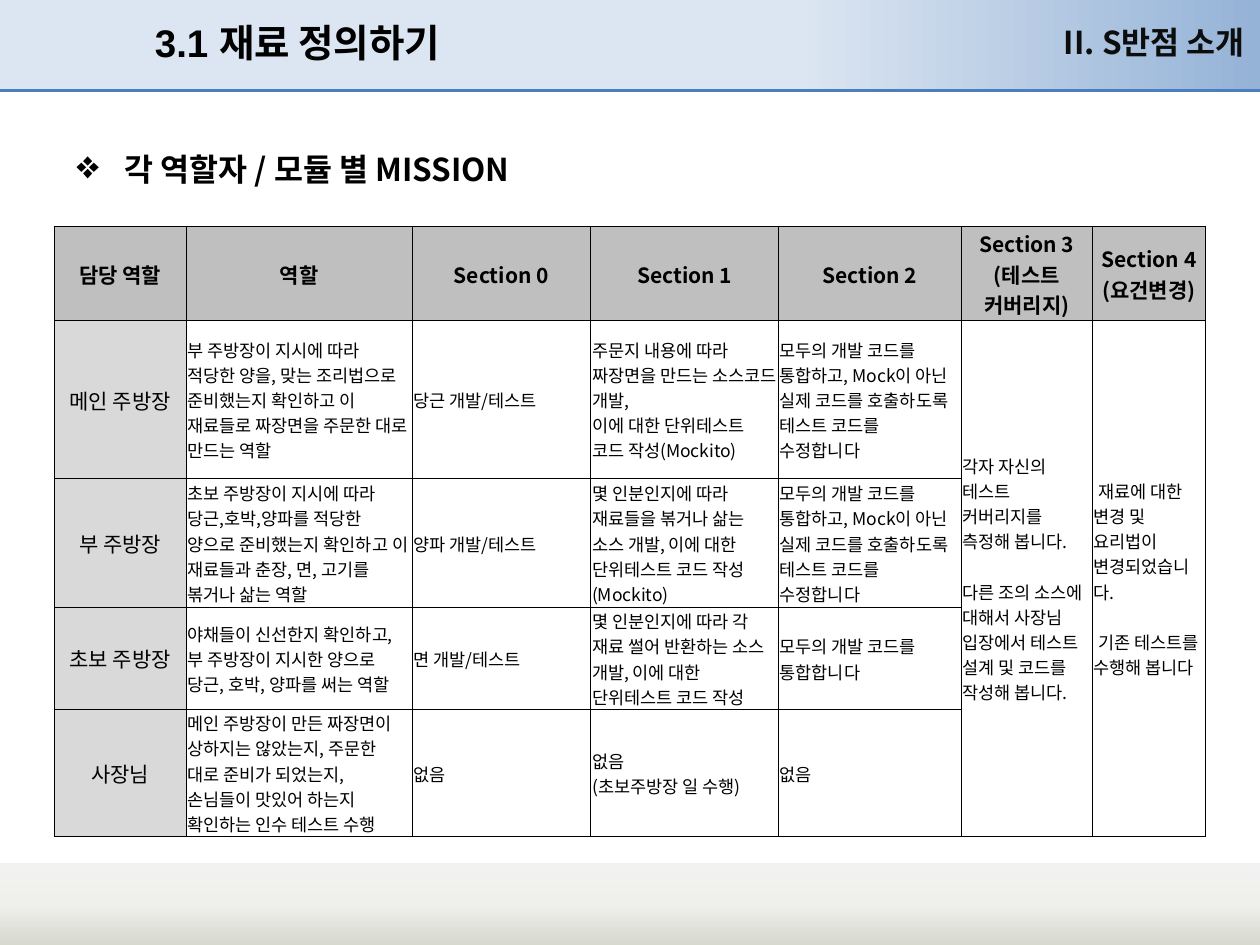
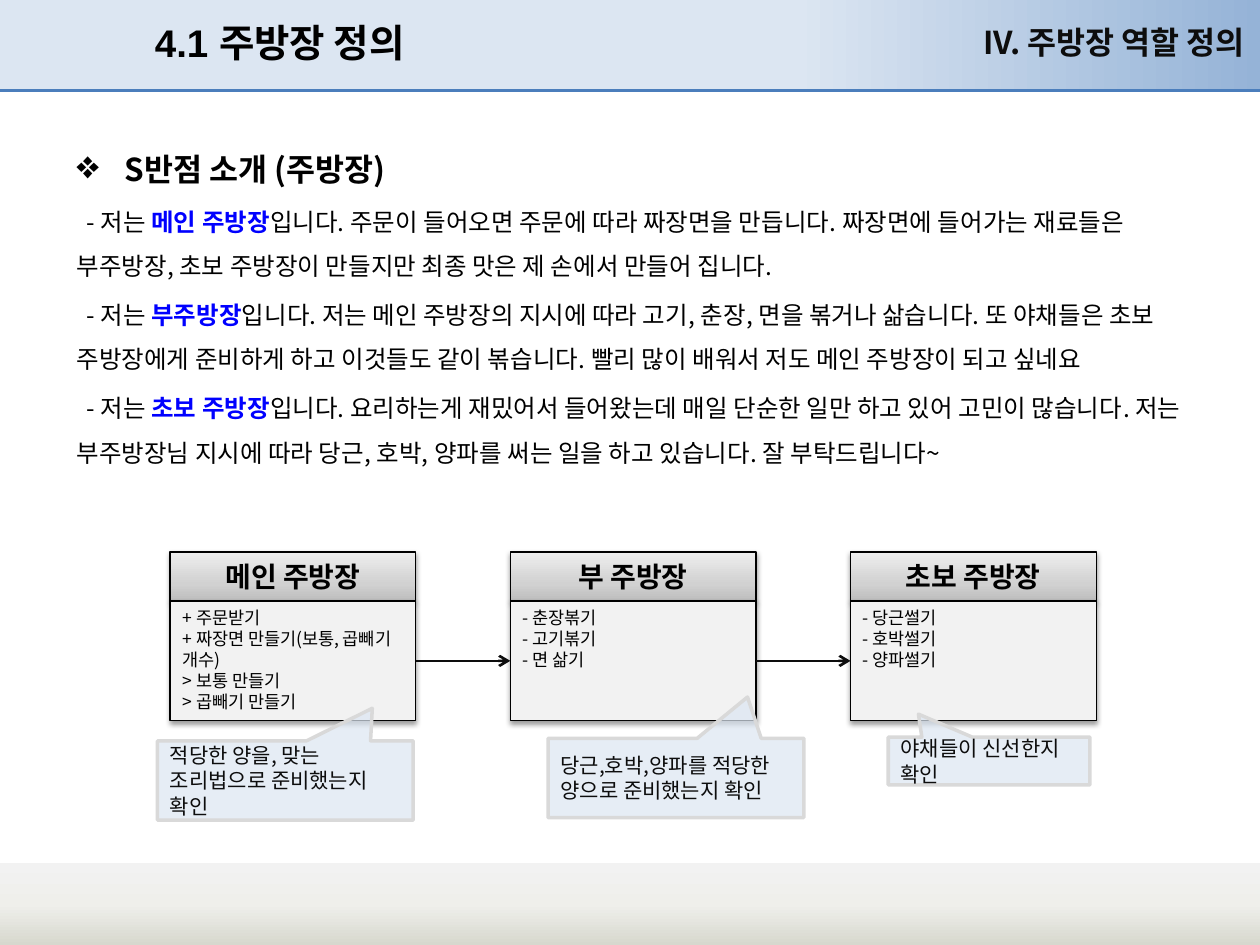
from pptx import Presentation
from pptx.dml.color import RGBColor
from pptx.enum.shapes import MSO_CONNECTOR, MSO_SHAPE
from pptx.enum.text import MSO_ANCHOR, PP_ALIGN
from pptx.oxml import parse_xml
from pptx.oxml.ns import nsdecls, qn
from pptx.util import Inches, Pt

RECTANGLE, CALLOUT = MSO_SHAPE.RECTANGLE, MSO_SHAPE.RECTANGULAR_CALLOUT
STRAIGHT = MSO_CONNECTOR.STRAIGHT
LEFT, CENTER, RIGHT = PP_ALIGN.LEFT, PP_ALIGN.CENTER, PP_ALIGN.RIGHT
TOP, MIDDLE = MSO_ANCHOR.TOP, MSO_ANCHOR.MIDDLE
KOREAN = "Noto Sans CJK KR"
NS = nsdecls("a")
COLORS = {
    "black": "000000", "ink": "0D0D0D", "blue": "0000FF", "rule": "4B7EBC",
    "pale_blue": "DCE6F2", "header_cell": "BFBFBF", "role_cell": "D9D9D9",
    "list_box": "F2F2F2", "callout_line": "D9D9D9",
}
HEADER_STOPS = [(0, "DCE6F2"), (63, "DCE6F2"), (100, "95B3D7")]
FOOTER_STOPS = [(0, "F2F2F2"), (50, "EFEFEB"), (100, "D7D8CE")]
BOX_STOPS = [(0, "BDBDBD"), (35, "D1D1D1"), (100, "EEEEEE")]


def write(frame, paragraphs, size=10, color="black", bold=False, font=KOREAN, align=LEFT,
          anchor=TOP, spacing=1.0, gap=0, margin=0, indent=0, bullet=None, wrap=True):
    """Append paragraphs; each is a string or a list of (text, color, bold) runs."""
    frame.word_wrap = wrap
    frame.vertical_anchor = anchor
    for runs in paragraphs:
        first = not frame.paragraphs[0].runs
        paragraph = frame.paragraphs[0] if first else frame.add_paragraph()
        properties = paragraph._p.get_or_add_pPr()
        properties.set("marL", str(Inches(margin)))
        properties.set("indent", str(Inches(indent)))
        if bullet:
            properties.append(parse_xml(f'<a:buSzPct {NS} val="125000"/>'))
            properties.append(parse_xml(f'<a:buChar {NS} char="{bullet}"/>'))
        paragraph.alignment = align
        paragraph.line_spacing = spacing
        paragraph.space_before = Pt(0 if first else gap)
        for text, run_color, run_bold in [(runs, color, bold)] if isinstance(runs, str) else runs:
            run = paragraph.add_run()
            run.text = text
            run.font.size = Pt(size)
            run.font.bold = run_bold
            run.font.name = font
            run.font.color.rgb = RGBColor.from_string(COLORS[run_color])
            run.font._element.set("kern", "0")
            run.font._element.find(qn("a:latin")).addnext(
                parse_xml(f'<a:ea {NS} typeface="{KOREAN}"/>'))


def fill_gradient(shape, stops, angle):
    """Fill with (percent, colour) stops; the angle runs clockwise in degrees."""
    shape.fill.gradient()
    gradient = shape.element.spPr.find(qn("a:gradFill"))
    stop_xml = "".join(f'<a:gs pos="{percent * 1000}"><a:srgbClr val="{color}"/></a:gs>'
                       for percent, color in stops)
    gradient.getparent().replace(gradient, parse_xml(
        f'<a:gradFill {NS} rotWithShape="1"><a:gsLst>{stop_xml}</a:gsLst>'
        f'<a:lin ang="{angle * 60000}" scaled="0"/></a:gradFill>'))


presentation = Presentation()
presentation.slide_width, presentation.slide_height = Inches(10), Inches(7.5)
layout = presentation.slide_layouts[5]
for placeholder in list(layout.placeholders)[1:]:
    placeholder.element.getparent().remove(placeholder.element)

# Titles and section headings
slides = []
for title_text, chapter, heading in [
    ("3.1 재료 정의하기", "II. S반점 소개", "각 역할자 / 모듈 별 MISSION"),
    ("4.1 주방장 정의", "IV. 주방장 역할 정의", "S반점 소개 (주방장)"),
]:
    slide = presentation.slides.add_slide(layout)
    title = slide.shapes.title
    title.left, title.top, title.width, title.height = map(Inches, (1.13, 0.05, 5.91, 0.57))
    write(title.text_frame, [title_text], size=22, bold=True, font="Arial", anchor=MIDDLE)
    chapter_box = slide.shapes.add_textbox(Inches(6.81), Inches(0.13), Inches(3.07), Inches(0.39))
    chapter_box.text_frame.margin_left = chapter_box.text_frame.margin_right = 0
    write(chapter_box.text_frame, [chapter], size=18, color="ink", bold=True, align=RIGHT)
    body = slide.shapes.add_textbox(Inches(0.51), Inches(0.99), Inches(9.21), Inches(0.57))
    write(body.text_frame, [heading], size=18, bold=True, spacing=1.5, margin=0.38,
          indent=-0.38, bullet="❖")
    slides.append((slide, body))

# Bands and rule shared through the layout
shapes = slides[0][0].shapes
for top, height, stops, angle in [(-0.01, 0.73, HEADER_STOPS, 0), (6.85, 0.65, FOOTER_STOPS, 90)]:
    band = shapes.add_shape(RECTANGLE, 0, Inches(top), Inches(10), Inches(height))
    band.shadow.inherit = False
    band.line.fill.background()
    fill_gradient(band, stops, angle)
    layout.shapes.element.append(band.element)
rule = shapes.add_connector(STRAIGHT, 0, Inches(0.72), Inches(10), Inches(0.72))
rule.line.color.rgb = RGBColor.from_string(COLORS["rule"])
rule.line.width = Pt(2)
rule.element.spPr.append(parse_xml(f"<a:effectLst {NS}/>"))
layout.shapes.element.append(rule.element)

# Slide 1: missions by role
integrate = ["모두의 개발 코드를 통합하고, Mock이 아닌 실제 코드를 호출하도록 테스트 코드를 수정합니다"]
missions = [
    [["담당 역할"], ["역할"], ["Section 0"], ["Section 1"], ["Section 2"],
     ["Section 3", "(테스트 커버리지)"], ["Section 4", "(요건변경)"]],
    [["메인 주방장"],
     ["부 주방장이 지시에 따라",
      "적당한 양을, 맞는 조리법으로 준비했는지 확인하고 이 재료들로 짜장면을 주문한 대로 만드는 역할"],
     ["당근 개발/테스트"],
     ["주문지 내용에 따라 짜장면을 만드는 소스코드 개발,", "이에 대한 단위테스트 코드 작성(Mockito)"],
     integrate,
     ["각자 자신의 테스트 커버리지를 측정해 봅니다.",
      "다른 조의 소스에 대해서 사장님 입장에서 테스트 설계 및 코드를 작성해 봅니다."],
     ["재료에 대한 변경 및 요리법이 변경되었습니다.", "기존 테스트를 수행해 봅니다"]],
    [["부 주방장"],
     ["초보 주방장이 지시에 따라",
      "당근,호박,양파를 적당한 양으로 준비했는지 확인하고 이 재료들과 춘장, 면, 고기를 볶거나 삶는 역할"],
     ["양파 개발/테스트"],
     ["몇 인분인지에 따라 재료들을 볶거나 삶는 소스 개발, 이에 대한 단위테스트 코드 작성(Mockito)"],
     integrate],
    [["초보 주방장"],
     ["야채들이 신선한지 확인하고, 부 주방장이 지시한 양으로 당근, 호박, 양파를 써는 역할"],
     ["면 개발/테스트"],
     ["몇 인분인지에 따라 각 재료 썰어 반환하는 소스 개발, 이에 대한 단위테스트 코드 작성"],
     ["모두의 개발 코드를 통합합니다"]],
    [["사장님"],
     ["메인 주방장이 만든 짜장면이 상하지는 않았는지, 주문한 대로 준비가 되었는지, "
      "손님들이 맛있어 하는지 확인하는 인수 테스트 수행"],
     ["없음"], ["없음", "(초보주방장 일 수행)"], ["없음"]],
]
slides[0][1].text_frame.word_wrap = False
table = shapes.add_table(5, 7, Inches(0.43), Inches(1.8), Inches(9.14), Inches(4.84)).table
table.first_row = table.horz_banding = False
for column, width in zip(table.columns, (1.05, 1.79, 1.42, 1.49, 1.45, 1.04, 0.9)):
    column.width = Inches(width)
for row, height in zip(table.rows, (0.74, 1.26, 1.02, 0.81, 1.01)):
    row.height = Inches(height)
for column_index in (5, 6):
    table.cell(1, column_index).merge(table.cell(4, column_index))
for row_index in range(5):
    for column_index in range(7):
        cell = table.cell(row_index, column_index)
        cell.margin_left = cell.margin_right = cell.margin_top = Inches(0.01)
        cell.margin_bottom = 0
        cell.vertical_anchor = MIDDLE
        is_header, is_role = row_index == 0, column_index == 0
        for side in ("lnL", "lnR", "lnT", "lnB"):
            cell._tc.get_or_add_tcPr().append(parse_xml(
                f'<a:{side} {NS} w="{Pt(0.5)}"><a:solidFill>'
                f'<a:srgbClr val="{COLORS["black"]}"/></a:solidFill></a:{side}>'))
        if is_header or is_role:
            cell.fill.solid()
            cell.fill.fore_color.rgb = RGBColor.from_string(
                COLORS["header_cell" if is_header else "role_cell"])
        else:
            cell.fill.background()
        if column_index < len(missions[row_index]):
            merged = cell.is_merge_origin
            write(cell.text_frame, missions[row_index][column_index],
                  size=12 if is_header or is_role else 10, bold=is_header,
                  align=CENTER if is_header or is_role else LEFT, anchor=MIDDLE,
                  gap=14.4 if merged else 0,
                  indent=0.04 if merged and column_index == 6 else 0)

# Slide 2: cooks introduce themselves
slide, body = slides[1]
body.height = Inches(2.8)
introductions = [
    ("메인 주방장", "입니다. 주문이 들어오면 주문에 따라 짜장면을 만듭니다. 짜장면에 들어가는 재료들은 "
     "부주방장, 초보 주방장이 만들지만 최종 맛은 제 손에서 만들어 집니다."),
    ("부주방장", "입니다. 저는 메인 주방장의 지시에 따라 고기, 춘장, 면을 볶거나 삶습니다. 또 야채들은 "
     "초보 주방장에게 준비하게 하고 이것들도 같이 볶습니다. 빨리 많이 배워서 저도 메인 주방장이 되고 싶네요"),
    ("초보 주방장", "입니다. 요리하는게 재밌어서 들어왔는데 매일 단순한 일만 하고 있어 고민이 많습니다. "
     "저는 부주방장님 지시에 따라 당근, 호박, 양파를 써는 일을 하고 있습니다. 잘 부탁드립니다~"),
]
write(body.text_frame,
      [[("- 저는 ", "black", False), (cook, "blue", True), (speech, "black", False)]
       for cook, speech in introductions],
      size=14, spacing=1.5, gap=2.8, indent=0.08)

cooks = [
    ("메인 주방장", ["+ 주문받기", "+ 짜장면 만들기(보통, 곱빼기 개수)", "> 보통 만들기", "> 곱빼기 만들기"]),
    ("부 주방장", ["- 춘장볶기", "- 고기볶기", "- 면 삶기"]),
    ("초보 주방장", ["- 당근썰기", "- 호박썰기", "- 양파썰기"]),
]
task_boxes = []
for index, (cook, tasks) in enumerate(cooks):
    left = Inches(1.35 + 2.7 * index)
    name_box = slide.shapes.add_shape(RECTANGLE, left, Inches(4.38), Inches(1.95), Inches(0.39))
    fill_gradient(name_box, BOX_STOPS, 270)
    write(name_box.text_frame, [cook], size=16, bold=True, align=CENTER, anchor=MIDDLE)
    task_box = slide.shapes.add_shape(RECTANGLE, left, Inches(4.77), Inches(1.95), Inches(0.95))
    task_box.fill.solid()
    task_box.fill.fore_color.rgb = RGBColor.from_string(COLORS["list_box"])
    write(task_box.text_frame, tasks)
    for box in (name_box, task_box):
        box.line.color.rgb = RGBColor.from_string(COLORS["black"])
        box.line.width = Pt(0.75)
        box.element.spPr.append(parse_xml(
            f'<a:effectLst {NS}><a:outerShdw blurRad="{Pt(3.1)}" dist="{Pt(1.6)}" dir="5400000" '
            f'rotWithShape="0"><a:srgbClr val="{COLORS["black"]}"><a:alpha val="38000"/>'
            '</a:srgbClr></a:outerShdw></a:effectLst>'))
    task_boxes.append(task_box)

for giver, receiver in zip(task_boxes, task_boxes[1:]):
    arrow = slide.shapes.add_connector(STRAIGHT, 0, 0, 0, 0)
    arrow.begin_connect(giver, 3)
    arrow.end_connect(receiver, 1)
    arrow.line.color.rgb = RGBColor.from_string(COLORS["ink"])
    arrow.line.width = Pt(1.5)
    arrow.line._get_or_add_ln().append(parse_xml(f'<a:tailEnd {NS} type="arrow"/>'))
    arrow.element.spPr.append(parse_xml(f"<a:effectLst {NS}/>"))

for left, top, width, height, tip_x, tip_y, check in [
    (1.25, 5.88, 2.03, 0.63, 0.34, -0.91, "적당한 양을, 맞는 조리법으로 준비했는지 확인"),
    (7.05, 5.85, 1.6, 0.38, -0.35, -0.98, "야채들이 신선한지 확인"),
    (4.35, 5.86, 2.03, 0.63, 0.28, -1.02, "당근,호박,양파를 적당한 양으로 준비했는지 확인"),
]:
    callout = slide.shapes.add_shape(CALLOUT, *map(Inches, (left, top, width, height)))
    callout.adjustments[0], callout.adjustments[1] = tip_x, tip_y
    callout.shadow.inherit = False
    callout.fill.solid()
    callout.fill.fore_color.rgb = RGBColor.from_string(COLORS["pale_blue"])
    fill_color = callout.element.spPr.find(qn("a:solidFill")).find(qn("a:srgbClr"))
    fill_color.append(parse_xml(f'<a:alpha {NS} val="70000"/>'))
    callout.line.color.rgb = RGBColor.from_string(COLORS["callout_line"])
    callout.line.width = Pt(2)
    write(callout.text_frame, [check], size=12, color="ink", anchor=MIDDLE)

presentation.save("out.pptx")
